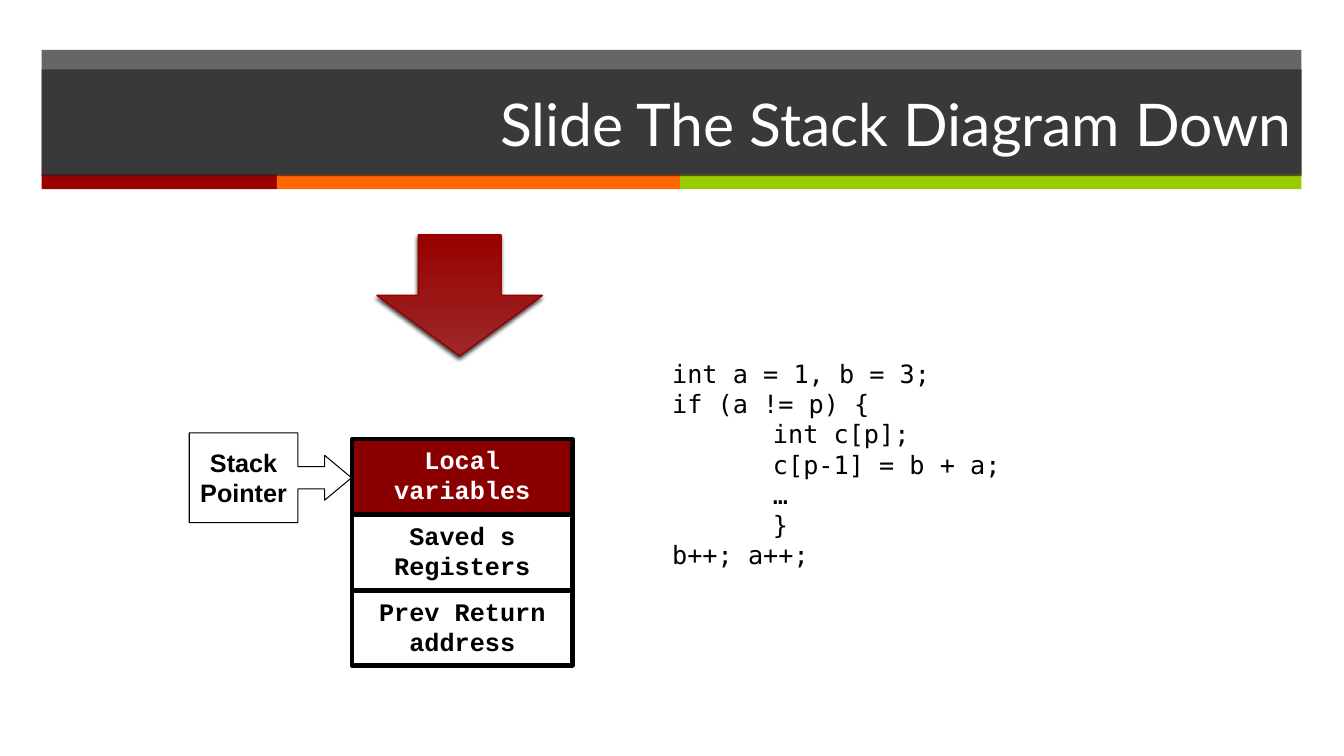
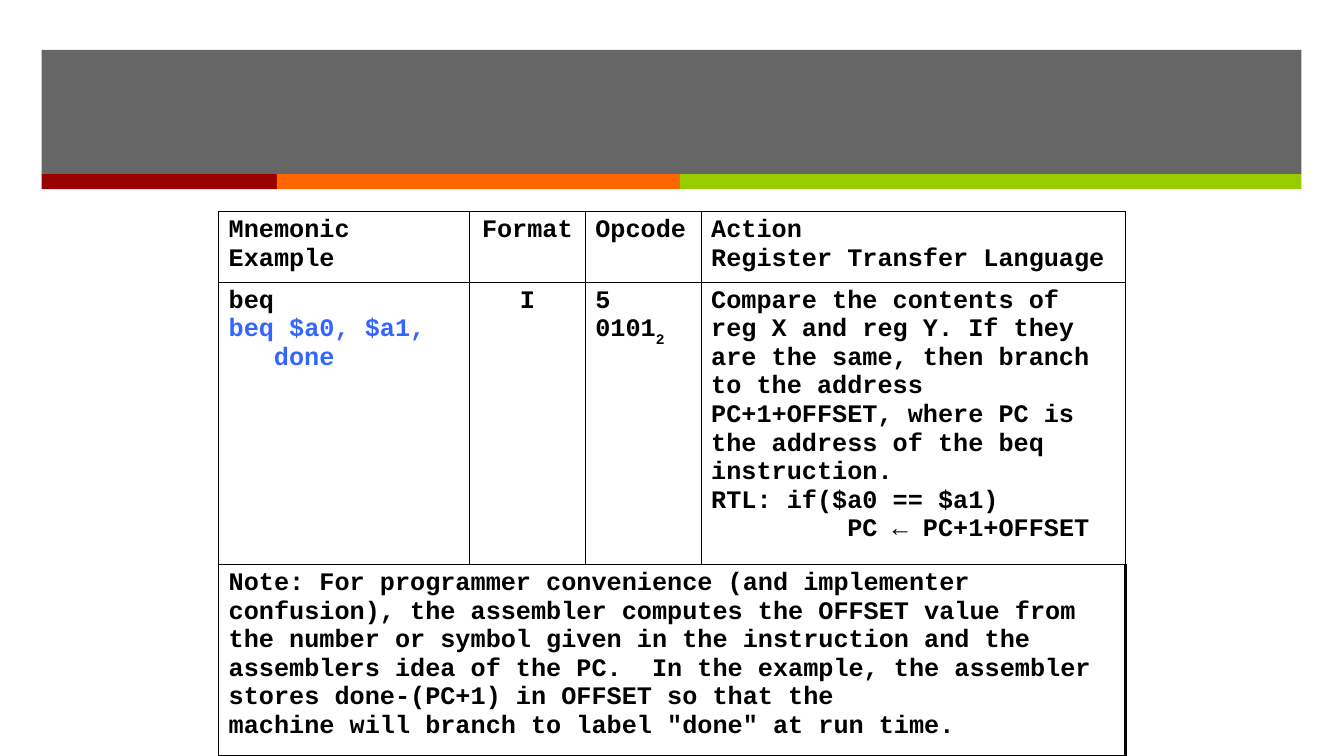
"""Build two slides on the call stack and the beq instruction."""
from lxml.etree import SubElement
from pptx import Presentation
from pptx.dml.color import RGBColor
from pptx.enum.shapes import MSO_SHAPE
from pptx.enum.text import MSO_ANCHOR, MSO_AUTO_SIZE, PP_ALIGN
from pptx.oxml import parse_xml
from pptx.oxml.ns import nsdecls, qn
from pptx.util import Cm, Pt

BLACK, WHITE, GREY, RED, BLUE = "000000", "FFFFFF", "262626", "990000", "3366FF"
MONO, CODE, SANS, HEAD = "Courier New", "DejaVu Sans Mono", "Arial", "Lato"
LEFT, CENTER, RIGHT = PP_ALIGN.LEFT, PP_ALIGN.CENTER, PP_ALIGN.RIGHT

EDGE, WIDE = 1.05, 31.75
BANDS = [(RED, 5.93), ("FF6600", 10.16), ("99CC00", 15.66)]
TITLE = "Slide The Stack Diagram Down"
STACK = [
    ("Local variables", "8A0000", WHITE),
    ("Saved s Registers", None, BLACK),
    ("Prev Return address", None, BLACK),
]
LINES = [
    (0, "int a = 1, b = 3;"),
    (0, "if (a != p) {"),
    (2.54, "int c[p];"),
    (2.54, "c[p-1] = b + a;"),
    (2.54, "…"),
    (2.54, "}"),
    (0, "b++; a++;"),
]
COLS = [6.32, 2.92, 2.92, 10.7]
ROWS = [1.7, 6.35, 4.7]
NOTE = [
    (0, "Note: For programmer convenience (and implementer confusion), the "
        "assembler computes the OFFSET value from the number or symbol given "
        "in the instruction and the assemblers idea of the PC.  In the "
        "example, the assembler stores done-(PC+1) in OFFSET so that the"),
    (0, "machine will branch to label \"done\" at run time."),
]
CELLS = [
    [
        [(0, "Mnemonic"), (0, "Example")],
        [(0, "Format")],
        [(0, "Opcode")],
        [(0, "Action"), (0, "Register Transfer Language")],
    ],
    [
        [(0, "beq"), (0, "beq $a0, $a1,", BLUE), (1.14, "done", BLUE)],
        [(0, "I")],
        [(0, "5"), (0, "0101")],
        [
            (0, "Compare the contents of reg X and reg Y. If they are the "
                "same, then branch to the address PC+1+OFFSET, where PC is "
                "the address of the beq instruction."),
            (0, "RTL: if($a0 == $a1)"),
            (3.43, "PC ← PC+1+OFFSET"),
        ],
    ],
    [NOTE],
]


def rgb(hue):
    """Turn a hex string into a colour."""
    return RGBColor.from_string(hue)


def put(para, text, font, hue=BLACK, size=18, bold=True):
    """Add one formatted run."""
    run = para.add_run()
    run.text = text
    face = run.font
    face.name, face.size, face.bold = font, Pt(size), bold
    face.color.rgb = rgb(hue)
    return run


def write(frame, lines, font, align=LEFT, hue=BLACK, bold=True):
    """Write lines of (indent, text, colour) as paragraphs."""
    for num, (gap, text, *tint) in enumerate(lines):
        para = frame.add_paragraph() if num else frame.paragraphs[0]
        para.alignment = align
        if gap:
            props = para._p.get_or_add_pPr()
            props.set("marL", str(Cm(gap)))
            props.set("indent", "0")
        put(para, text, font, tint[0] if tint else hue, bold=bold)


def paint(shape, hue, alpha=None):
    """Fill a shape, with an opacity in percent if given."""
    shape.fill.solid()
    shape.fill.fore_color.rgb = rgb(hue)
    if alpha:
        tone = shape._element.spPr.find(qn("a:solidFill"))[0]
        SubElement(tone, qn("a:alpha")).set("val", str(alpha * 1000))


def draw(slide, kind, box, hue=None, line=None, alpha=None):
    """Add a plain shape; line is a (colour, width) pair."""
    shape = slide.shapes.add_shape(kind, *map(Cm, box))
    shape.shadow.inherit = False
    if hue:
        paint(shape, hue, alpha)
    else:
        shape.fill.background()
    if line:
        shape.line.color.rgb, shape.line.width = rgb(line[0]), Pt(line[1])
    else:
        shape.line.fill.background()
    shape.text_frame.vertical_anchor = MSO_ANCHOR.TOP
    return shape


def start(deck, layout):
    """Add a slide with the shared bands."""
    slide = deck.slides.add_slide(deck.slide_layouts[layout])
    draw(slide, MSO_SHAPE.RECTANGLE, (EDGE, 1.26, WIDE, 3.14), GREY, alpha=70)
    left = EDGE
    for hue, width in BANDS:
        draw(slide, MSO_SHAPE.RECTANGLE, (left, 4.39, width, 0.38), hue)
        left += width
    return slide


def head(slide, text):
    """Place and format the title above the bands."""
    title = slide.shapes.title
    title.left, title.top, title.width, title.height = map(
        Cm, (EDGE, 1.75, WIDE, 2.69))
    paint(title, GREY, 70)
    frame = title.text_frame
    frame.auto_size = MSO_AUTO_SIZE.NONE
    frame.vertical_anchor = MSO_ANCHOR.MIDDLE
    para = frame.paragraphs[0]
    para.alignment = RIGHT
    put(para, text, HEAD, WHITE, 42, False)
    slide.shapes._spTree.append(title._element)


def stack(slide):
    """Draw the stack cells and their pointer."""
    call = draw(slide, MSO_SHAPE.RIGHT_ARROW_CALLOUT,
                (4.77, 10.91, 4.09, 2.26), line=(BLACK, 0.75))
    for num, val in enumerate((0.25, 0.25, 0.3, 0.67)):
        call.adjustments[num] = val
    frame = call.text_frame
    frame.word_wrap = False
    frame.vertical_anchor = MSO_ANCHOR.MIDDLE
    write(frame, [(0, "Stack"), (0, "Pointer")], SANS, CENTER)
    for num, (text, fill, hue) in enumerate(STACK):
        box = draw(slide, MSO_SHAPE.RECTANGLE,
                   (8.87, 11.07 + 1.91 * num, 5.56, 1.88), fill, (BLACK, 3))
        write(box.text_frame, [(0, text)], MONO, CENTER, hue)


def arrow(slide):
    """Draw the shaded down arrow."""
    shape = draw(slide, MSO_SHAPE.DOWN_ARROW, (9.5, 5.92, 4.17, 3.05),
                 line=("960000", 1))
    shape.fill.gradient()
    shape.fill.gradient_angle = 90
    for stop, hue in zip(shape.fill.gradient_stops, ("9D2828", RED)):
        stop.color.rgb = rgb(hue)
    glow = shape._element.spPr.find(qn("a:effectLst"))
    glow.append(parse_xml(
        f'<a:outerShdw {nsdecls("a")} blurRad="{Pt(3)}" dist="{Pt(2)}" '
        f'dir="{110 * 60000}" rotWithShape="0"><a:srgbClr val="{BLACK}">'
        '<a:alpha val="75000"/></a:srgbClr></a:outerShdw>'))


def rule(cell, right):
    """Set the four borders of a cell."""
    props = cell._tc.get_or_add_tcPr()
    for num, side in enumerate("LRTB"):
        width = Pt(right if side == "R" else 1)
        props.insert(num, parse_xml(
            f'<a:ln{side} {nsdecls("a")} w="{width}"><a:solidFill>'
            f'<a:srgbClr val="{BLACK}"/></a:solidFill></a:ln{side}>'))


def grid(slide):
    """Build the instruction table."""
    table = slide.shapes.add_table(
        len(ROWS), len(COLS), Cm(5.51), Cm(5.33),
        Cm(sum(COLS)), Cm(sum(ROWS))).table
    table.first_row = table.horz_banding = False
    for col, width in zip(table.columns, COLS):
        col.width = Cm(width)
    for row, height in zip(table.rows, ROWS):
        row.height = Cm(height)
    last = len(ROWS) - 1
    table.cell(last, 0).merge(table.cell(last, len(COLS) - 1))
    for num, row in enumerate(table.rows):
        for cell in row.cells:
            cell.fill.background()
            rule(cell, 2.25 if num == last else 1)
    for num, row in enumerate(CELLS):
        for col, lines in enumerate(row):
            write(table.cell(num, col).text_frame, lines, MONO,
                  CENTER if col == 1 else LEFT)
    base = put(table.cell(1, 2).text_frame.paragraphs[1], "2", MONO)
    base._r.get_or_add_rPr().set("baseline", "-30000")


def main():
    """Make and save the deck."""
    deck = Presentation()
    deck.slide_width, deck.slide_height = Cm(33.87), Cm(19.05)
    slide = start(deck, 5)
    stack(slide)
    head(slide, TITLE)
    arrow(slide)
    code = slide.shapes.add_textbox(*map(Cm, (16.69, 8.9, 11.38, 5.64)))
    code.text_frame.word_wrap = True
    write(code.text_frame, LINES, CODE, bold=False)
    grid(start(deck, 6))
    deck.save("out.pptx")


main()
